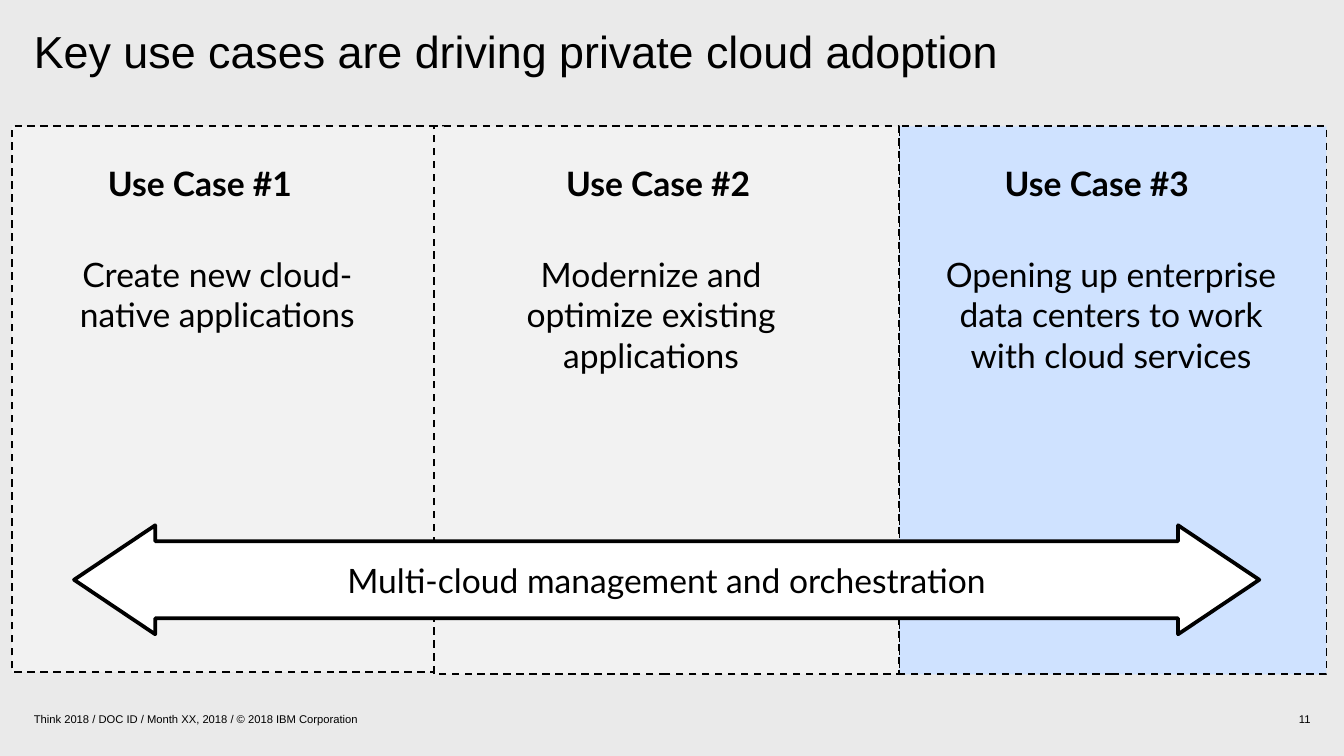
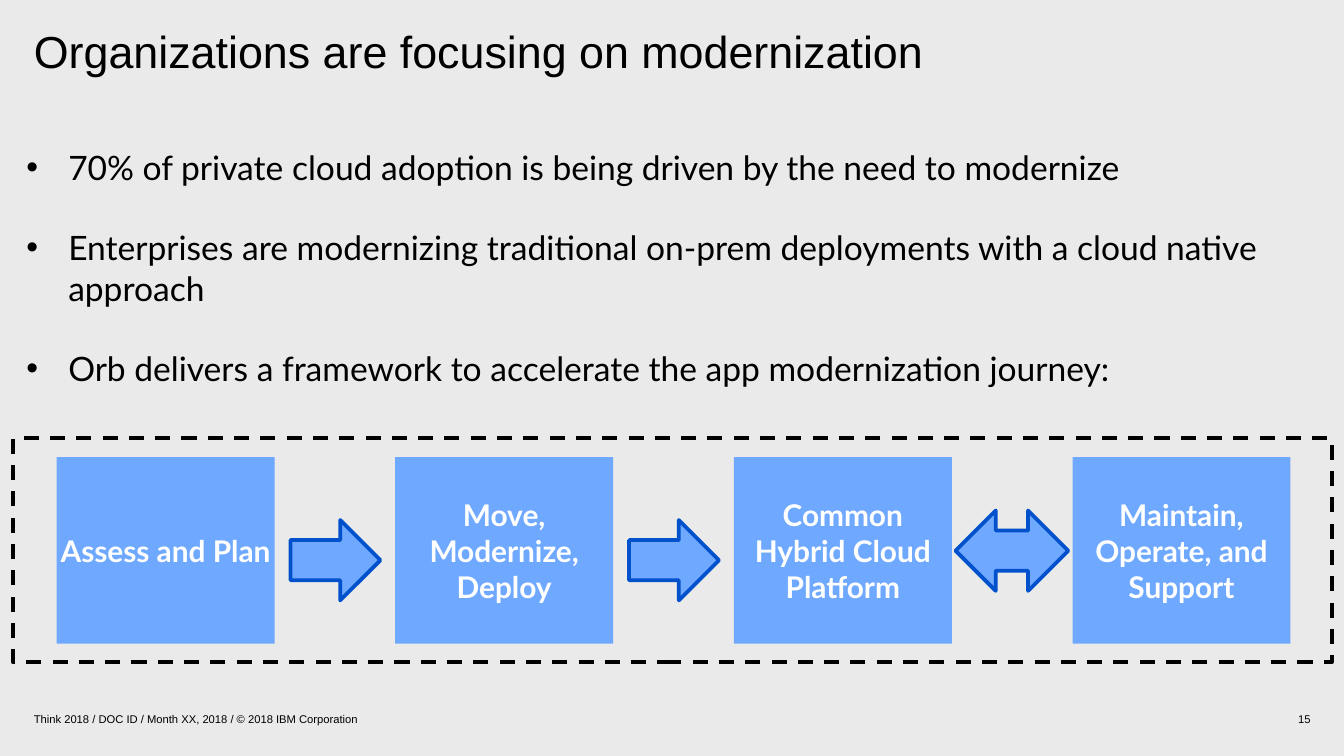
from dataclasses import dataclass

from pptx import Presentation
from pptx.dml.color import RGBColor
from pptx.enum.dml import MSO_LINE
from pptx.enum.shapes import MSO_SHAPE
from pptx.enum.text import MSO_ANCHOR, MSO_AUTO_SIZE, PP_ALIGN
from pptx.oxml.ns import qn
from pptx.util import Cm, Pt
from lxml.etree import SubElement


@dataclass(frozen=True)
class Theme:
    background: str = "EAEAEA"
    black: str = "000000"
    white: str = "FFFFFF"
    panel: str = "F2F2F2"
    highlight: str = "CFE2FF"
    blue: str = "6FA9FF"
    dark_blue: str = "0051CB"
    title_font: str = "Arial"
    body_font: str = "Lato"
    title_size: int = 24
    body_size: int = 18
    step_size: int = 16
    footer_size: int = 6
    list_gap: float = 21.6


THEME = Theme()

FOOTER = "Think 2018 / DOC ID / Month XX, 2018 / © 2018 IBM Corporation"

USE_CASES_TITLE = "Key use cases are driving private cloud adoption"
USE_CASES = [
    {"heading": "Use Case #1", "text": "Create new cloud-native applications",
     "panel": (0.23, 8.2, 10.31), "fill": THEME.panel,
     "heading_left": 1.8, "text_span": (1.14, 5.94)},
    {"heading": "Use Case #3",
     "text": "Opening up enterprise data centers to work with cloud services",
     "panel": (16.99, 8.08, 10.36), "fill": THEME.highlight,
     "heading_left": 18.75, "text_span": (17.48, 7.04)},
    {"heading": "Use Case #2", "text": "Modernize and optimize existing applications",
     "panel": (8.2, 8.79, 10.36), "fill": THEME.panel,
     "heading_left": 10.46, "text_span": (9.09, 6.43)},
]
MANAGEMENT = "Multi-cloud management and orchestration"

MODERNIZATION_TITLE = "Organizations are focusing on modernization"
POINTS = [
    "70% of private cloud adoption is being driven by the need to modernize",
    "Enterprises are modernizing traditional on-prem deployments with a cloud native approach",
    "Orb delivers a framework to accelerate the app modernization journey:",
]
STEPS = [
    "Assess and Plan",
    "Move, Modernize, Deploy",
    "Common Hybrid Cloud Platform",
    "Maintain, Operate, and Support",
]
STEP_LEFT, STEP_PITCH = 1.07, 6.4
STEP_ARROWS = [
    (MSO_SHAPE.RIGHT_ARROW, 5.49, 9.83, 1.7),
    (MSO_SHAPE.RIGHT_ARROW, 5.49 + STEP_PITCH, 9.83, 1.7),
    (MSO_SHAPE.LEFT_RIGHT_ARROW, 18.06, 9.65, 2.13),
]


def place(shape, left, top, width, height):
    shape.left, shape.top = Cm(left), Cm(top)
    shape.width, shape.height = Cm(width), Cm(height)


def prepare_frame(shape, inset=0.0, anchor=MSO_ANCHOR.TOP, wrap=True):
    frame = shape.text_frame
    frame.auto_size = MSO_AUTO_SIZE.NONE
    frame.word_wrap = wrap
    frame.vertical_anchor = anchor
    frame.margin_left = frame.margin_right = Cm(inset)
    frame.margin_top = frame.margin_bottom = Cm(inset)
    return frame


def add_run(paragraph, text, size, color=THEME.black, font=THEME.body_font, bold=False):
    run = paragraph.add_run()
    run.text = text
    run.font.name = font
    run.font.size = Pt(size)
    run.font.bold = bold
    run.font.color.rgb = RGBColor.from_string(color)


def write(shape, text, size, align=PP_ALIGN.CENTER, inset=0.0,
          anchor=MSO_ANCHOR.MIDDLE, wrap=True, **style):
    paragraph = prepare_frame(shape, inset, anchor, wrap).paragraphs[0]
    paragraph.alignment = align
    add_run(paragraph, text, size, **style)
    return paragraph


def add_text(slide, box, text, size, **style):
    shape = slide.shapes.add_textbox(*(Cm(length) for length in box))
    write(shape, text, size, **style)


def add_figure(slide, kind, box, fill=None, line=None, weight=1, dashed=False):
    shape = slide.shapes.add_shape(kind, *(Cm(length) for length in box))
    shape.shadow.inherit = False
    if fill:
        shape.fill.solid()
        shape.fill.fore_color.rgb = RGBColor.from_string(fill)
    else:
        shape.fill.background()
    if line:
        shape.line.color.rgb = RGBColor.from_string(line)
        shape.line.width = Pt(weight)
        if dashed:
            shape.line.dash_style = MSO_LINE.DASH
    else:
        shape.line.fill.background()
    return shape


def add_slide(presentation, layout_index, title, number):
    slide = presentation.slides.add_slide(presentation.slide_layouts[layout_index])
    place(slide.shapes.title, 0.64, 0.56, 23.47, 1.07)
    paragraph = write(slide.shapes.title, title, THEME.title_size, align=PP_ALIGN.LEFT,
                      anchor=MSO_ANCHOR.TOP, font=THEME.title_font)
    paragraph.line_spacing = 0.9
    add_text(slide, (19.05, 13.41, 5.72, 0.38), str(number), THEME.footer_size,
             align=PP_ALIGN.RIGHT, font=THEME.title_font)
    add_text(slide, (0.64, 13.41, 17.78, 0.38), FOOTER, THEME.footer_size,
             align=PP_ALIGN.LEFT, font=THEME.title_font)
    return slide


def add_bullet(paragraph):
    properties = paragraph._p.get_or_add_pPr()
    properties.set("marL", str(Cm(0.79)))
    properties.set("indent", str(-Cm(0.79)))
    SubElement(properties, qn("a:buFont")).set("typeface", THEME.title_font)
    SubElement(properties, qn("a:buChar")).set("char", "•")


def build_use_cases(presentation):
    slide = add_slide(presentation, 5, USE_CASES_TITLE, 11)
    for case in USE_CASES:
        left, width, height = case["panel"]
        add_figure(slide, MSO_SHAPE.RECTANGLE, (left, 2.39, width, height),
                   case["fill"], THEME.black, dashed=True)
    for case in USE_CASES:
        add_text(slide, (case["heading_left"], 3, 3.96, 0.91), case["heading"],
                 THEME.body_size, inset=0.08, wrap=False, bold=True)
        left, width = case["text_span"]
        add_text(slide, (left, 4.8, width, 2.72), case["text"], THEME.body_size,
                 anchor=MSO_ANCHOR.TOP)
    arrow = add_figure(slide, MSO_SHAPE.LEFT_RIGHT_ARROW, (1.4, 9.93, 22.4, 2.06),
                       THEME.white, THEME.black, weight=2)
    arrow.adjustments[0] = 0.706
    arrow.adjustments[1] = 0.745
    write(arrow, MANAGEMENT, THEME.body_size, inset=0.15)


def build_modernization(presentation):
    slide = add_slide(presentation, 1, MODERNIZATION_TITLE, 15)
    body = slide.placeholders[1]
    place(body, 0.25, 2.64, 24.92, 4.88)
    frame = prepare_frame(body, inset=0.13)
    frame.margin_left = frame.margin_right = Cm(0.25)
    for index, point in enumerate(POINTS):
        paragraph = frame.add_paragraph() if index else frame.paragraphs[0]
        add_bullet(paragraph)
        paragraph.space_before = Pt(THEME.list_gap if index else 0)
        add_run(paragraph, point, THEME.body_size)
    add_figure(slide, MSO_SHAPE.RECTANGLE, (0.25, 8.28, 24.92, 4.24),
               line=THEME.black, weight=2, dashed=True)
    for index, step in enumerate(STEPS):
        box = (STEP_LEFT + index * STEP_PITCH, 8.64, 4.12, 3.53)
        shape = add_figure(slide, MSO_SHAPE.RECTANGLE, box, THEME.blue)
        write(shape, step, THEME.step_size, color=THEME.white, bold=True)
    for kind, left, top, width in STEP_ARROWS:
        add_figure(slide, kind, (left, top, width, 1.52),
                   THEME.blue, THEME.dark_blue, weight=2)


def main():
    presentation = Presentation()
    presentation.slide_width, presentation.slide_height = Cm(25.4), Cm(14.29)
    background = presentation.slide_master.background.fill
    background.solid()
    background.fore_color.rgb = RGBColor.from_string(THEME.background)
    build_use_cases(presentation)
    build_modernization(presentation)
    presentation.save("out.pptx")


if __name__ == "__main__":
    main()
